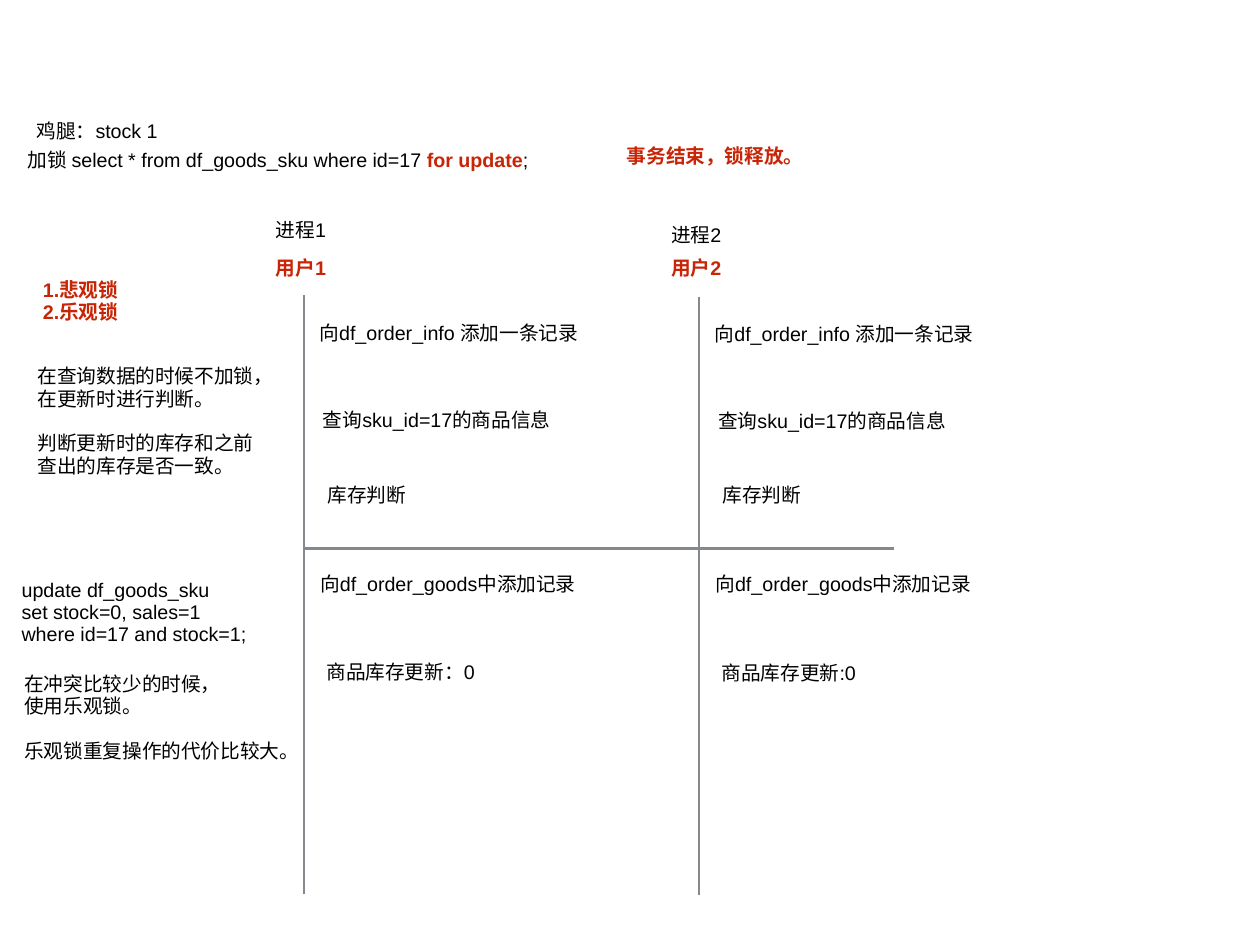
"""Build the slide comparing two processes that order the same stock, with notes on locking."""
from lxml import etree
from pptx import Presentation
from pptx import util as u
from pptx.dml.color import RGBColor
from pptx.enum import shapes, text
from pptx.oxml.ns import qn

THEME = {
    "font": "Arial", "size": 16, "spacing": 0.9, "before": 1, "gap": 19,
    "inset": 0.14, "slack": 0.15, "row": 0.89, "line_width": 2,
    "ink": "000000", "accent": "C82506", "line": "85888D",
}
SLIDE = (36.12, 27.08)
LANE_PITCH = 11.33

LANE_STEPS = [
    (7.77, "ink", [("进程1", 6.17, 1.88), ("进程2", 6.32, 1.88)]),
    (7.77, "accent", [("用户1", 7.26, 1.85), ("用户2", 7.26, 1.85)]),
    (9.02, "ink", [("向df_order_info 添加一条记录", 9.14, 8.18),
                   ("向df_order_info 添加一条记录", 9.17, 8.18)]),
    (9.12, "ink", [("查询sku_id=17的商品信息", 11.61, 7.11),
                   ("查询sku_id=17的商品信息", 11.66, 7.11)]),
    (9.25, "ink", [("库存判断", 13.77, 2.54), ("库存判断", 13.77, 2.54)]),
    (9.04, "ink", [("向df_order_goods中添加记录", 16.31, 8.08),
                   ("向df_order_goods中添加记录", 16.33, 8.08)]),
    (9.22, "ink", [("商品库存更新：0", 18.85, 4.67), ("商品库存更新:0", 18.87, 4.27)]),
]

NOTES = [
    (0.91, 3.33, 3.96, THEME["row"], [[[("鸡腿：stock 1", "ink")]]]),
    (0.66, 4.17, 15.29, THEME["row"], [[[
        ("加锁 select * from df_goods_sku where id=17 ", "ink"),
        ("for update", "accent"), (";", "ink")]]]),
    (17.83, 4.06, 5.36, THEME["row"], [[[("事务结束，锁释放。", "accent")]]]),
    (1.09, 7.9, 2.57, 1.52, [[[("1.悲观锁", "accent")], [("2.乐观锁", "accent")]]]),
    (0.94, 10.36, 7.04, 3.48, [
        [[("在查询数据的时候不加锁，", "ink")], [("在更新时进行判断。", "ink")]],
        [[("判断更新时的库存和之前", "ink")], [("查出的库存是否一致。", "ink")]]]),
    (0.48, 16.48, 7.04, 2.18, [[
        [("update df_goods_sku", "ink")],
        [("set stock=0, sales=1", "ink")],
        [("where id=17 and stock=1;", "ink")]]]),
    (0.56, 19.18, 8.15, 2.82, [
        [[("在冲突比较少的时候，", "ink")], [("使用乐观锁。", "ink")]],
        [[("乐观锁重复操作的代价比较大。", "ink")]]]),
]

LINES = [
    (8.71, 25.63, 8.71, 8.46),
    (20.04, 25.65, 20.04, 8.51),
    (8.74, 15.72, 25.63, 15.72),
]


def add_line(s, *ends):
    cx = s.shapes.add_connector(shapes.MSO_CONNECTOR.STRAIGHT, *map(u.Cm, ends))
    cx.line.color.rgb = RGBColor.from_string(THEME["line"])
    cx.line.width = u.Pt(THEME["line_width"])
    etree.SubElement(cx.element.spPr, qn("a:effectLst"))


def add_text(s, left, top, width, height, groups):
    box = (left, top, width + THEME["slack"], height)
    sp = s.shapes.add_textbox(*map(u.Cm, box))
    tf = sp.text_frame
    tf.word_wrap = False
    tf.auto_size = text.MSO_AUTO_SIZE.SHAPE_TO_FIT_TEXT
    tf.vertical_anchor = text.MSO_ANCHOR.MIDDLE
    tf.margin_left = tf.margin_right = u.Cm(THEME["inset"])
    tf.margin_top = tf.margin_bottom = u.Cm(THEME["inset"])
    for g, group in enumerate(groups):
        for i, runs in enumerate(group):
            first = g == 0 and i == 0
            p = tf.paragraphs[0] if first else tf.add_paragraph()
            p.line_spacing = THEME["spacing"]
            if not first:
                p.space_before = u.Pt(THEME["before"] if i else THEME["gap"])
            for wording, colour in runs:
                r = p.add_run()
                r.text = wording
                r.font.name = THEME["font"]
                r.font.size = u.Pt(THEME["size"])
                r.font.bold = colour == "accent"
                r.font.color.rgb = RGBColor.from_string(THEME[colour])


def main():
    prs = Presentation()
    prs.slide_width, prs.slide_height = map(u.Cm, SLIDE)
    s = prs.slides.add_slide(prs.slide_layouts[6])
    for ends in LINES:
        add_line(s, *ends)
    for left, colour, lanes in LANE_STEPS:
        for lane, (wording, top, width) in enumerate(lanes):
            add_text(s, left + lane * LANE_PITCH, top, width, THEME["row"],
                     [[[(wording, colour)]]])
    for note in NOTES:
        add_text(s, *note)
    prs.save("out.pptx")


if __name__ == "__main__":
    main()
